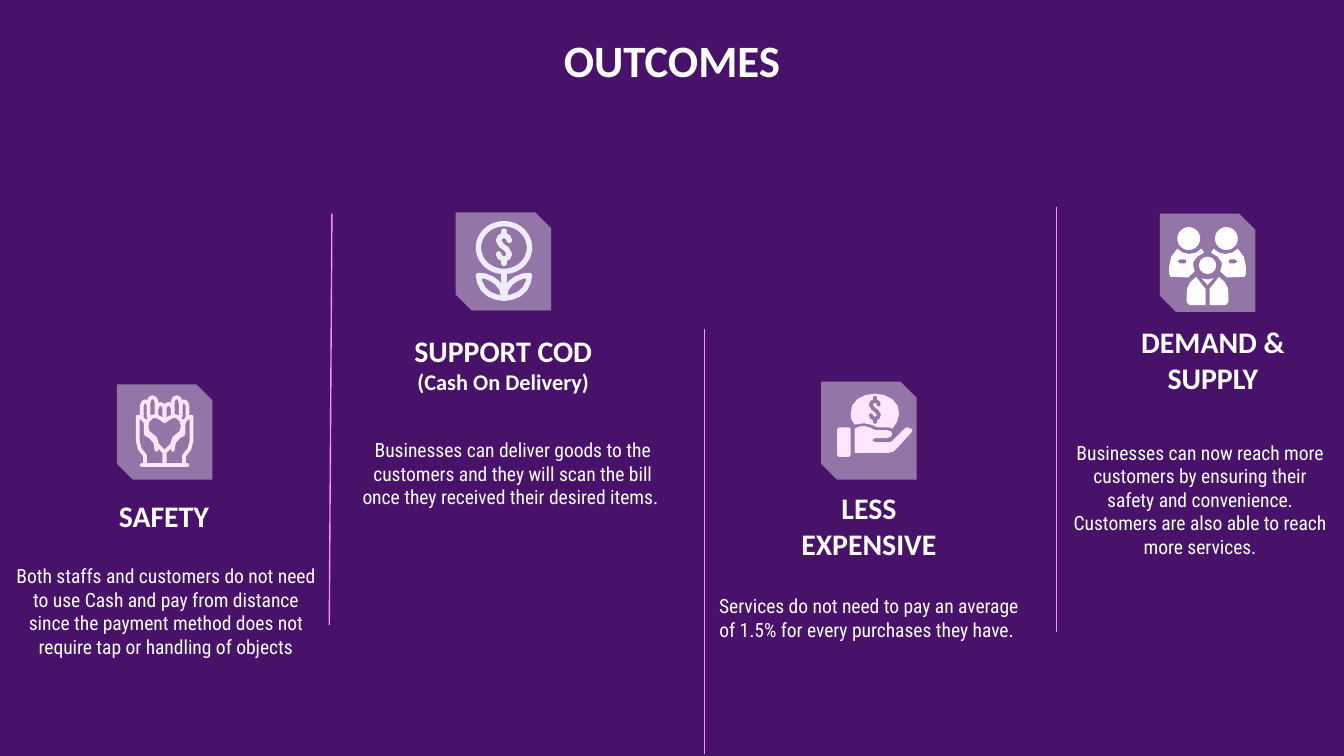
import dataclasses
import pptx
import pptx.util
import pptx.dml.color
import pptx.enum.shapes
import pptx.enum.text
import pptx.oxml
import pptx.oxml.ns

KIND = pptx.enum.shapes.MSO_SHAPE
ANCHOR = pptx.enum.text.MSO_ANCHOR
WIDTH = pptx.util.Inches(10)
HEIGHT = WIDTH * 9 // 16
CELL = WIDTH / 100   # square grid cell: 100 columns, 56.25 rows
DOT = CELL / 10      # fine unit for icons, counted from the tile corner


@dataclasses.dataclass(frozen=True)
class Theme:
    back: str = "48126A"
    white: str = "FFFFFF"
    rule: str = "FF8CFF"
    pink: str = "FFE8FF"
    blue: str = "E1E1FF"
    tile: str = "9576A9"
    head: str = "Calibri"
    body: str = "Roboto Condensed"
    title: float = 24
    label: float = 16
    note: float = 12
    small: float = 10.5


THEME = Theme()


def rgb(code):
    return pptx.dml.color.RGBColor.from_string(code)


def grid(*cells):
    return [round(cell * CELL) for cell in cells]


def paint(shape, fill=None, line=None, weight=1):
    shape.shadow.inherit = False
    if fill:
        shape.fill.solid()
        shape.fill.fore_color.rgb = rgb(fill)
    else:
        shape.fill.background()
    if line:
        shape.line.color.rgb = rgb(line)
        shape.line.width = pptx.util.Pt(weight)
        shape.line._get_or_add_ln().set("cap", "rnd")
    else:
        shape.line.fill.background()
    return shape


def write(slide, box, *lines, size=THEME.small, font=THEME.body, bold=False,
          anchor=ANCHOR.TOP, sizes=()):
    frame = slide.shapes.add_textbox(*grid(*box)).text_frame
    frame.word_wrap = True
    frame.vertical_anchor = anchor
    frame.margin_left = frame.margin_right = grid(1)[0]
    frame.margin_top = frame.margin_bottom = grid(1)[0]
    for i, line in enumerate(lines):
        para = frame.paragraphs[0] if i == 0 else frame.add_paragraph()
        para.alignment = pptx.enum.text.PP_ALIGN.CENTER
        run = para.add_run()
        run.text = line
        run.font.size = pptx.util.Pt(sizes[i] if sizes else size)
        run.font.name = font
        run.font.bold = bold
        run.font.color.rgb = rgb(THEME.white)


def rule(slide, *ends):
    line = slide.shapes.add_connector(
        pptx.enum.shapes.MSO_CONNECTOR.STRAIGHT, *grid(*ends))
    line.line.color.rgb = rgb(THEME.rule)
    line.line.width = pptx.util.Pt(0.75)
    props = line._element.spPr
    props.append(pptx.oxml.parse_xml(
        "<a:effectLst %s/>" % pptx.oxml.ns.nsdecls("a")))


def tile(slide, left, top, high):
    shape = slide.shapes.add_shape(KIND.SNIP_2_DIAG_RECTANGLE, *grid(left, top, 7.1, high))
    shape.adjustments[0], shape.adjustments[1] = 0, 0.167
    paint(shape, THEME.white)
    color = shape._element.spPr.find(".//" + pptx.oxml.ns.qn("a:srgbClr"))
    color.append(pptx.oxml.parse_xml(
        '<a:alpha %s val="42000"/>' % pptx.oxml.ns.nsdecls("a")))


class Pen:
    """Draws icon parts in dots from the corner of a tile."""

    def __init__(self, slide, left, top):
        self.shapes = slide.shapes
        self.left, self.top = grid(left, top)

    def trace(self, *paths, close=False, flip=None, **look):
        """Draw paths written as "x,y x,y"; flip adds a mirrored twin."""
        lists = [[tuple(map(float, pair.split(","))) for pair in path.split()]
                 for path in paths]
        self.plot(lists, close, **look)
        if flip:
            self.plot([[(2 * flip - x, y) for x, y in dots] for dots in lists],
                      close, **look)

    def plot(self, lists, close, **look):
        lists = [[(x * DOT, y * DOT) for x, y in dots] for dots in lists]
        build = self.shapes.build_freeform(*lists[0][0], scale=1.0)
        for i, dots in enumerate(lists):
            if i:
                build.move_to(*dots[0])
            build.add_line_segments(dots[1:], close=close)
        paint(build.convert_to_shape(self.left, self.top), **look)

    def form(self, kind, x, y, wide, high, **look):
        shape = self.shapes.add_shape(
            kind, self.left + round(x * DOT), self.top + round(y * DOT),
            round(wide * DOT), round(high * DOT))
        return paint(shape, **look)

    def dollar(self, x, y, scale, **look):
        curve = [(4, -5), (3, -7.5), (0, -9), (-3, -7.5), (-4, -5), (-2, -1.5),
                 (2, 1.5), (4, 5), (3, 7.5), (0, 9), (-3, 7.5), (-4, 5)]
        bars = [[(0, -12), (0, -9)], [(0, 9), (0, 12)]]
        self.plot([[(x + a * scale, y + b * scale) for a, b in part]
                   for part in [curve] + bars], False, **look)


# Icons
def hands(pen):
    pen.trace(
        "21,59 21,53 19,50.5 17,48 15.5,42 15.5,24 18,24.5 21,27.5 21.5,30 21.5,37 25,39 28.5,43 29.5,49",
        "35.5,59 35.5,50.5 30,45 28.5,40 23,35.5 22,31 23,27 26,24 29,23.5 33,25.5 35.5,27.5",
        "18.5,24 18.5,16 19.5,13.5 21,12.5 23,13.5 23.5,16 23.5,24",
        "23.5,14 24.5,10.5 26.5,9.5 28.5,10.5 29.5,13 29.5,23",
        "29.5,18 30.5,15.5 32.5,14.5 34.5,15.5 35.5,17.5 35.5,26",
        "18.5,60 35.5,60", flip=35.5, line=THEME.pink, weight=2)


def flower(pen):
    look = dict(line=THEME.blue, weight=2.9)
    pen.form(KIND.OVAL, 17, 8.5, 38, 35.5, **look)
    pen.dollar(36, 26, 1, **look)
    pen.trace("36,44 36,64", **look)
    pen.trace("17,47 22,47.5 27,49.5 31,52.5 34.5,57 36,64 30,63 25,61 20.5,57 18,52",
              close=True, flip=36, **look)


def coin(pen):
    pen.form(KIND.ROUNDED_RECTANGLE, 12, 34, 10, 22, fill=THEME.pink)
    pen.trace("25,32 22.5,28 22,24 23,18 27,13 33,10 40,9 47,10 53,13 57,18 58,24 "
              "56.5,30 53,35 50,34 42,34 37,32 32,31", close=True, fill=THEME.pink)
    pen.dollar(40, 21, 0.75, line=THEME.tile, weight=2)
    pen.trace("25,35 28,33.5 32,33 36,34 39,35.5 41,36 49,36 52,37 53,39 52,41 49,42 "
              "40,42 38,43.5 40,45 51,45 53,44 62,35 64,34 67,35 68,36 67,38 57,49 "
              "54,52 50,53 25,53", close=True, fill=THEME.pink)


def family(pen):
    look = dict(fill=THEME.white)
    for x, y, size in ((13, 10, 17), (41, 10, 17), (29, 32, 13)):
        pen.form(KIND.OVAL, x, y, size, size, **look)
    pen.trace("31,48 35.5,49 40,48 35.5,53", close=True, **look)
    pen.trace("27,47 23,50.5 20.5,55 20,59 20,66 22,68 34,68 34,56",
              close=True, flip=35.5, **look)
    pen.trace("13,26 17,29 22,30 27,29 31,26 33,29 28,32 25,36 25,39 26,43 21,47.5 "
              "8,47 7,45 7,39 8.5,32", "15,34 19,34 20,35.5 19,37 15,37 13,35.5",
              close=True, flip=35.5, **look)


def column(slide, icon, spot, head, body, lines, text, sizes=(), under=False):
    # The tile may lie over its icon or under it
    steps = [lambda: tile(slide, *spot), lambda: icon(Pen(slide, *spot[:2]))]
    for step in reversed(steps) if under else steps:
        step()
    write(slide, (*head, 4.7), *lines, size=THEME.label, font=THEME.head,
          bold=True, anchor=ANCHOR.BOTTOM, sizes=sizes)
    write(slide, (*body, 11), text)


def main():
    deck = pptx.Presentation()
    deck.slide_width, deck.slide_height = WIDTH, HEIGHT
    slide = deck.slides.add_slide(deck.slide_layouts[6])
    slide.background.fill.solid()
    slide.background.fill.fore_color.rgb = rgb(THEME.back)

    # Title
    write(slide, (40.6, 1.4, 18.8, 5.8), "OUTCOMES",
          size=THEME.title, font=THEME.head, bold=True)

    # Dividers
    rule(slide, 24.7, 15.9, 24.5, 46.5)
    rule(slide, 52.4, 24.5, 52.4, 56.1)
    rule(slide, 78.6, 15.4, 78.6, 47)

    # Outcomes, left to right
    column(slide, hands, (8.7, 28.6, 7.1), (4.7, 36, 15), (0.1, 41, 24.5), ["SAFETY"],
           "Both staffs and customers do not need to use Cash and pay from distance "
           "since the payment method does not require tap or handling of objects")
    column(slide, flower, (33.9, 15.8, 7.3), (29.2, 25.7, 16.5), (25.9, 31.6, 24.5),
           ["SUPPORT COD", "(Cash On Delivery)"],
           "Businesses can deliver goods to the customers and they will scan the bill "
           "once they received their desired items. ",
           sizes=(THEME.label, THEME.note), under=True)
    column(slide, coin, (61.1, 28.4, 7.3), (56.4, 38.1, 16.5), (52.4, 43.2, 24.5),
           ["LESS EXPENSIVE"],
           "Services do not need to pay an average of 1.5% for every purchases they have. ")
    column(slide, family, (86.3, 15.9, 7.3), (82, 25.7, 16.5), (78.6, 31.8, 21.4),
           ["DEMAND & SUPPLY"],
           "Businesses can now reach more customers by ensuring their safety and "
           "convenience. Customers are also able to reach more services.")

    deck.save("out.pptx")


if __name__ == "__main__":
    main()
